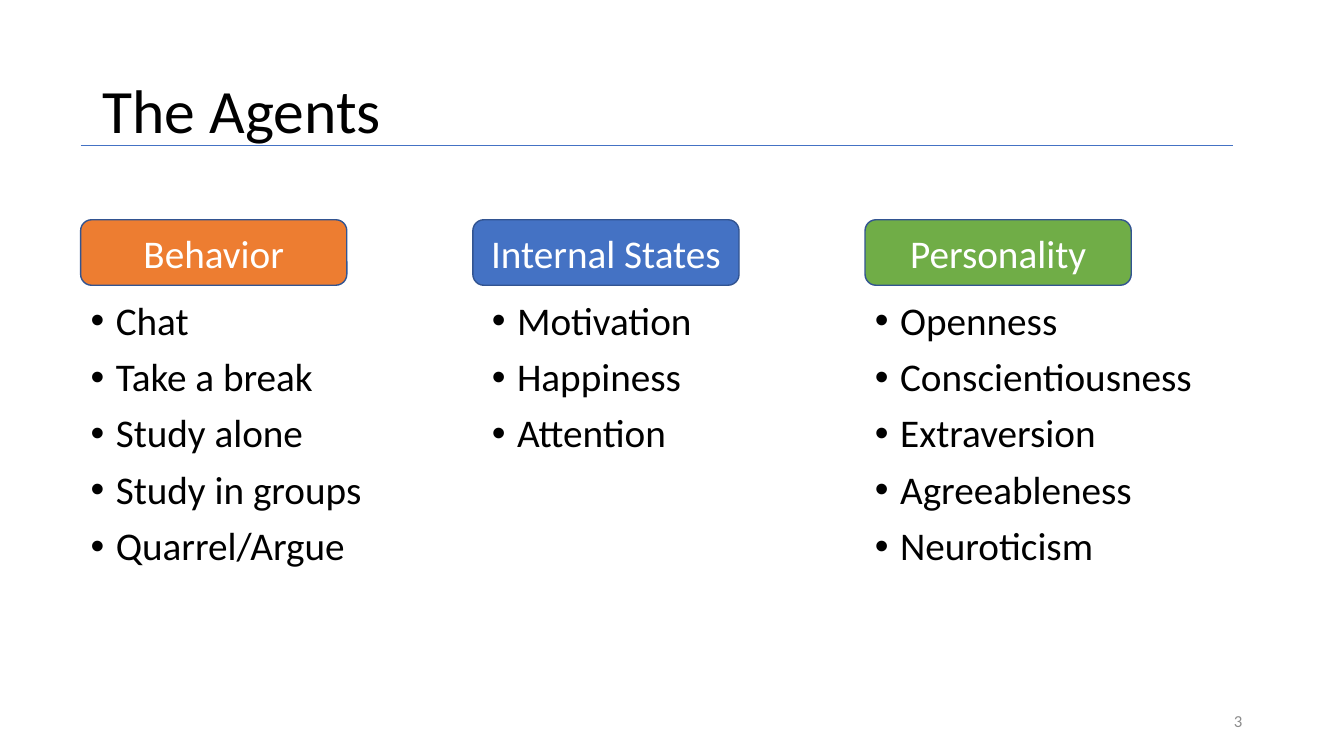
import lxml.etree
import pptx
import pptx.dml.color
import pptx.enum.shapes
import pptx.enum.text
import pptx.oxml.ns
import pptx.util

PX = 9144
FONT = "Calibri"
COLORS = {
    "text": "000000",
    "light": "FFFFFF",
    "muted": "8C8C8C",
    "orange": "ED7D31",
    "blue": "4472C4",
    "green": "70AD47",
    "outline": "325491",
}
ALIGN = pptx.enum.text.PP_ALIGN
ANCHOR = pptx.enum.text.MSO_ANCHOR
COLUMNS = [
    {"heading": "Behavior", "color": "orange", "list_offset": 0, "list_size": (346, 292),
     "items": ["Chat", "Take a break", "Study alone", "Study in groups", "Quarrel/Argue"]},
    {"heading": "Internal States", "color": "blue", "list_offset": 9, "list_size": (245, 228),
     "items": ["Motivation", "Happiness", "Attention"]},
    {"heading": "Personality", "color": "green", "list_offset": 0, "list_size": (346, 292),
     "items": ["Openness", "Conscientiousness", "Extraversion", "Agreeableness", "Neuroticism"]},
]
COLUMN_PITCH = 389


def px(*lengths):
    """Turn lengths in px into EMU."""
    return [pptx.util.Emu(length * PX) for length in lengths]


def rgb(name):
    """Look up a named colour."""
    return pptx.dml.color.RGBColor.from_string(COLORS[name])


def add_bullet(para):
    """Give a paragraph a round bullet with a hanging indent."""
    properties = para._p.get_or_add_pPr()
    indent = px(25)[0]
    properties.set("marL", str(indent))
    properties.set("indent", str(-indent))
    for tag, key, value in (("a:buFont", "typeface", "Arial"), ("a:buChar", "char", "•")):
        bullet = lxml.etree.SubElement(properties, pptx.oxml.ns.qn(tag))
        bullet.set(key, value)


def write_text(shape, lines, size=28, color="text", align=ALIGN.LEFT,
               anchor=ANCHOR.TOP, line_spacing=1.0, space_before=0, bullets=False):
    """Fill a shape with one formatted paragraph per line."""
    frame = shape.text_frame
    frame.word_wrap = True
    frame.vertical_anchor = anchor
    for index, line in enumerate(lines):
        para = frame.paragraphs[0] if index == 0 else frame.add_paragraph()
        para.alignment = align
        para.line_spacing = line_spacing
        para.space_before = pptx.util.Pt(space_before)
        if bullets:
            add_bullet(para)
        span = para.add_run()
        span.text = line
        span.font.name = FONT
        span.font.size = pptx.util.Pt(size)
        span.font.color.rgb = rgb(color)


def add_title(page, left, top, width, height):
    """Place the title and the rule beneath it."""
    box = page.shapes.add_textbox(*px(left, top, width, height))
    write_text(box, ["The Agents"], size=44, anchor=ANCHOR.MIDDLE, line_spacing=0.9)
    rule_left, rule_top = left - 12, top + 104
    rule = page.shapes.add_connector(
        pptx.enum.shapes.MSO_CONNECTOR.STRAIGHT,
        *px(rule_left, rule_top, rule_left + 1143, rule_top))
    rule.line.color.rgb = rgb("blue")
    rule.line.width = pptx.util.Pt(0.5)
    lxml.etree.SubElement(rule._element.spPr, pptx.oxml.ns.qn("a:effectLst"))


def add_column(page, left, top, width, height, column):
    """Place a coloured heading with its bulleted list below."""
    heading = page.shapes.add_shape(
        pptx.enum.shapes.MSO_SHAPE.ROUNDED_RECTANGLE, *px(left, top, width, height))
    heading.shadow.inherit = False
    heading.fill.solid()
    heading.fill.fore_color.rgb = rgb(column["color"])
    heading.line.color.rgb = rgb("outline")
    heading.line.width = pptx.util.Pt(1)
    write_text(heading, [column["heading"]], color="light",
               align=ALIGN.CENTER, anchor=ANCHOR.MIDDLE)
    items = page.shapes.add_textbox(
        *px(left + column["list_offset"], top + 76, *column["list_size"]))
    write_text(items, column["items"], line_spacing=0.9, space_before=10, bullets=True)


def add_page_number(page, left, top, width, height):
    """Place the page number at the right of its box."""
    box = page.shapes.add_textbox(*px(left, top, width, height))
    write_text(box, ["3"], size=12, color="muted", align=ALIGN.RIGHT, anchor=ANCHOR.MIDDLE)


def main():
    """Build the slide and save the deck."""
    deck = pptx.Presentation()
    deck.slide_width, deck.slide_height = px(1333, 750)
    page = deck.slides.add_slide(deck.slide_layouts[6])
    add_title(page, 92, 40, 1150, 145)
    for index, column in enumerate(COLUMNS):
        add_column(page, 80 + index * COLUMN_PITCH, 218, 264, 65, column)
    add_page_number(page, 942, 695, 300, 40)
    deck.save("out.pptx")


if __name__ == "__main__":
    main()
